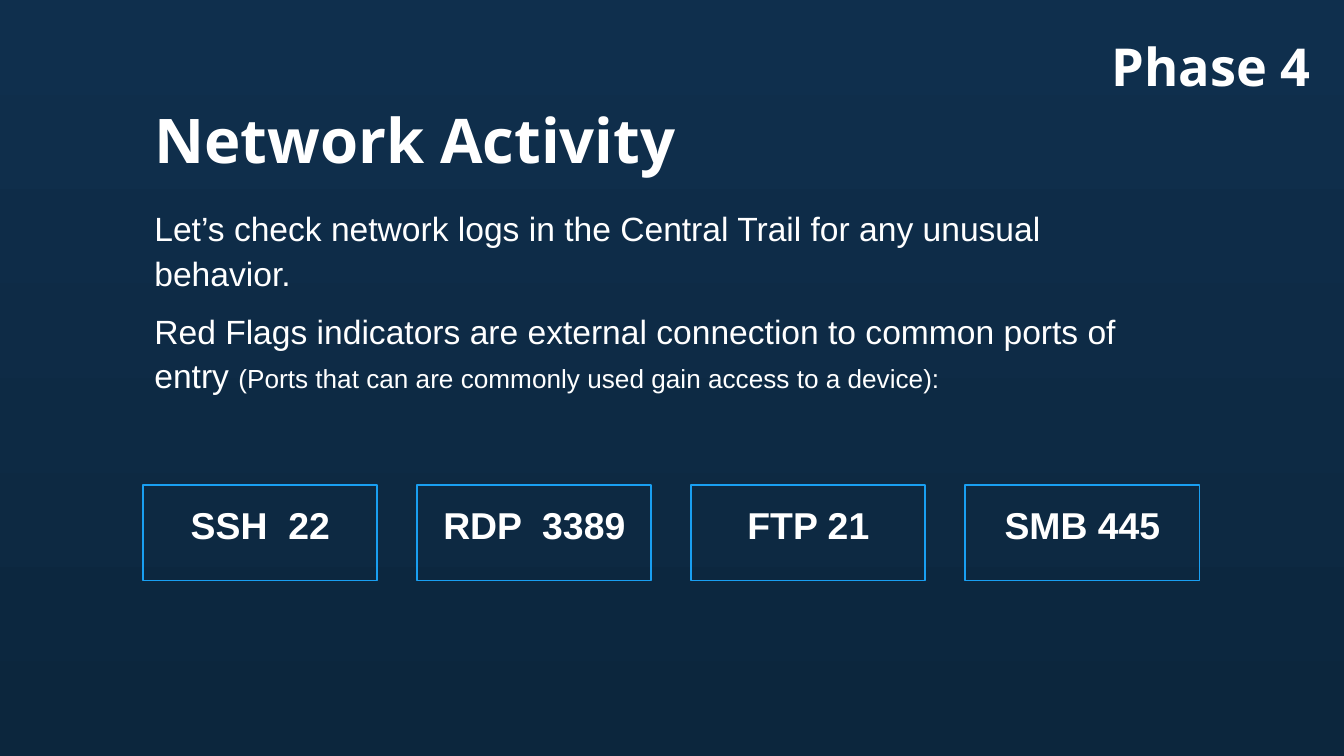
from dataclasses import dataclass

from pptx import Presentation
from pptx.dml.color import RGBColor
from pptx.enum.shapes import MSO_SHAPE
from pptx.enum.text import MSO_ANCHOR, PP_ALIGN
from pptx.util import Pt


@dataclass(frozen=True)
class Theme:
    bg_top: RGBColor = RGBColor(0x0F, 0x2F, 0x4D)
    bg_bottom: RGBColor = RGBColor(0x0C, 0x26, 0x3D)
    text: RGBColor = RGBColor(0xFF, 0xFF, 0xFF)
    accent: RGBColor = RGBColor(0x19, 0x9F, 0xF2)
    heading_font: str = "Open Sans"
    body_font: str = "Arial"
    title_size: float = 33
    phase_size: float = 28
    port_size: float = 20
    body_size: float = 18
    note_size: float = 14
    inset: float = 7.2
    space_before: float = 7.5


THEME = Theme()

PARAGRAPHS = [
    ("Let’s check network logs in the Central Trail for any unusual behavior.", ""),
    ("Red Flags indicators are external connection to common ports of entry ",
     "(Ports that can are commonly used gain access to a device):"),
]
PORTS = ["SSH  22", "RDP  3389", "FTP 21", "SMB 445"]


def paint_background(s):
    fill = s.background.fill
    fill.gradient()
    fill.gradient_angle = 270  # counter-clockwise, so top to bottom
    for stop, color in zip(fill.gradient_stops, (THEME.bg_top, THEME.bg_bottom)):
        stop.color.rgb = color


def add_text_frame(shapes, box, anchor):
    tf = shapes.add_textbox(*map(Pt, box)).text_frame
    tf.word_wrap = True
    tf.vertical_anchor = anchor
    tf.margin_left = tf.margin_right = Pt(THEME.inset)
    tf.margin_top = tf.margin_bottom = Pt(THEME.inset)
    return tf


def style_paragraph(p, font, size, bold=False, align=PP_ALIGN.LEFT):
    p.alignment = align
    p.font.name = font
    p.font.size = Pt(size)
    p.font.bold = bold
    p.font.color.rgb = THEME.text


def add_heading(s, box, text, size, align=PP_ALIGN.LEFT):
    p = add_text_frame(s.shapes, box, MSO_ANCHOR.MIDDLE).paragraphs[0]
    p.text = text
    p.line_spacing = 0.9
    style_paragraph(p, THEME.heading_font, size, True, align)


def add_body(s, box):
    tf = add_text_frame(s.shapes, box, MSO_ANCHOR.TOP)
    for i, (text, note) in enumerate(PARAGRAPHS):
        p = tf.add_paragraph() if i else tf.paragraphs[0]
        style_paragraph(p, THEME.body_font, THEME.body_size)
        p.line_spacing = 1.1
        p.space_before = Pt(THEME.space_before)
        p.add_run().text = text
        if note:
            r = p.add_run()
            r.text = note
            r.font.size = Pt(THEME.note_size)


def add_port(s, box, label):
    """Group an outlined frame with its label, which sits slightly higher."""
    left, top, width, height = box
    group = s.shapes.add_group_shape()
    tf = add_text_frame(group.shapes, (left, top - 4.3, width, height), MSO_ANCHOR.MIDDLE)
    p = tf.paragraphs[0]
    p.text = label
    p.space_before = Pt(THEME.space_before)
    style_paragraph(p, THEME.body_font, THEME.port_size, True, PP_ALIGN.CENTER)

    frame = group.shapes.add_shape(MSO_SHAPE.RECTANGLE, *map(Pt, box))
    frame.shadow.inherit = False
    frame.fill.background()
    frame.line.color.rgb = THEME.accent
    frame.line.width = Pt(1)


def add_port_row(s, box, gap):
    left, top, width, height = box
    port_width = (width - gap * (len(PORTS) - 1)) / len(PORTS)
    for i, label in enumerate(PORTS):
        add_port(s, (left + i * (port_width + gap), top, port_width, height), label)


def main():
    prs = Presentation()
    prs.slide_width, prs.slide_height = Pt(720), Pt(405)
    s = prs.slides.add_slide(prs.slide_layouts[6])
    paint_background(s)
    add_body(s, (75.6, 102.2, 540.7, 100))
    add_heading(s, (517.7, 16.6, 191.5, 41), "Phase 4", THEME.phase_size, PP_ALIGN.RIGHT)
    add_heading(s, (75.6, 37.4, 401.8, 78.5), "Network Activity", THEME.title_size)
    add_port_row(s, (76.8, 259.9, 565.8, 51.1), gap=21.4)
    prs.save("out.pptx")


if __name__ == "__main__":
    main()
